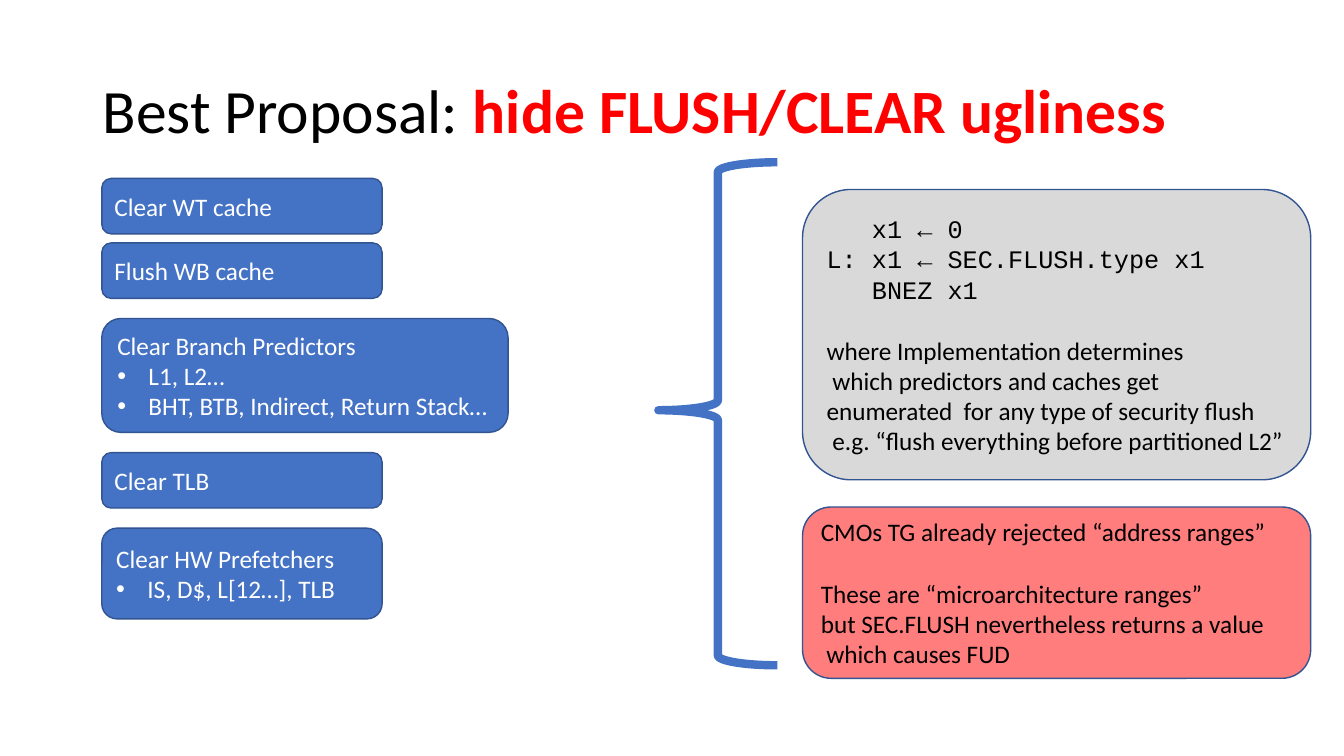
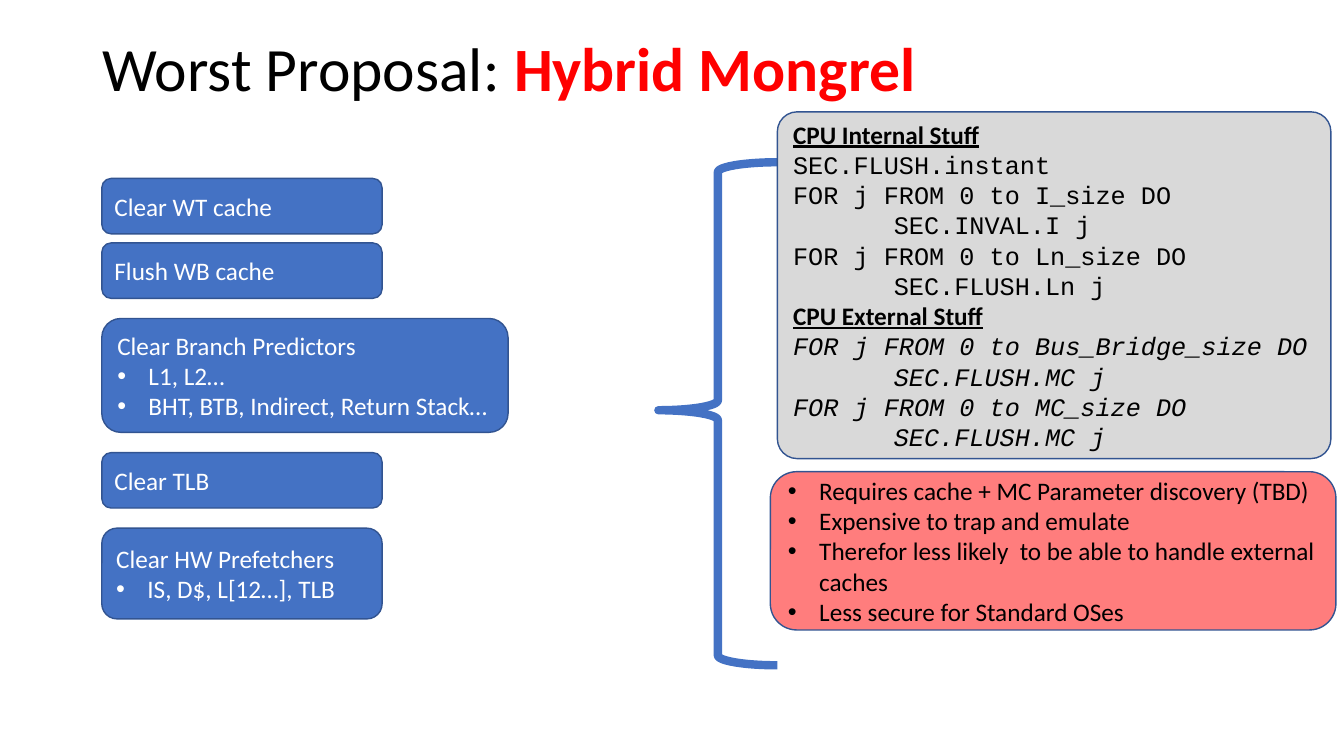
from lxml.etree import SubElement
from pptx import Presentation
from pptx.dml.color import RGBColor
from pptx.enum.shapes import MSO_SHAPE
from pptx.enum.text import MSO_ANCHOR, PP_ALIGN
from pptx.oxml.ns import qn
from pptx.util import Inches, Pt

THEME = {
    "blue": RGBColor(0x44, 0x72, 0xC4),
    "edge": RGBColor(0x32, 0x54, 0x91),
    "gray": RGBColor(0xD9, 0xD9, 0xD9),
    "rose": RGBColor(0xFF, 0x7D, 0x7D),
    "red": RGBColor(0xFF, 0x00, 0x00),
    "black": RGBColor(0x00, 0x00, 0x00),
    "white": RGBColor(0xFF, 0xFF, 0xFF),
    "sans": "Calibri",
    "mono": "Courier New",
    "title": Pt(44),
    "body": Pt(18),
    "thin": Pt(1),
    "thick": Pt(6),
}

BODY = {"name": THEME["sans"], "size": THEME["body"]}
CODE = {**BODY, "name": THEME["mono"]}
SLANT = {**CODE, "italic": True}
HEAD = {**BODY, "bold": True, "underline": True}
TITLE = {**BODY, "size": THEME["title"]}

STYLES = {
    "text": {"font": BODY},
    "apart": {"font": BODY, "before": 22},
    "bullet": {"font": BODY, "left": 0.31, "hang": -0.31, "mark": "•"},
    "code": {"font": CODE},
    "inset": {"font": CODE, "left": 0.45},
    "step": {"font": CODE, "left": 1},
    "slant": {"font": SLANT},
    "substep": {"font": SLANT, "left": 1},
    "head": {"font": HEAD},
}

STACK = {"left": 1.01, "top": 1.77}
TASKS = [
    (2.78, 0.55, 0.09, [("text", "Clear WT cache")]),
    (2.78, 0.55, 0.2, [("text", "Flush WB cache")]),
    (4.03, 1.13, 0.2, [
        ("text", "Clear Branch Predictors"),
        ("bullet", "L1, L2…"),
        ("bullet", "BHT, BTB, Indirect, Return Stack…"),
    ]),
    (2.78, 0.55, 0.2, [("text", "Clear TLB")]),
    (2.78, 0.9, 0, [
        ("text", "Clear HW Prefetchers"),
        ("bullet", "IS, D$, L[12…], TLB"),
    ]),
]
BRACE = {"at": (6.53, 1.61, 1.18, 4.99), "bend": (0.083, 0.493)}

SLIDES = [
    {
        "title": ("Best Proposal: ", "hide FLUSH/CLEAR ugliness"),
        "at": (0.92, 0.4, 11.5, 1.45),
        "cards": [
            ("gray", (7.96, 1.88, 5.04, 2.88), 0.167, [
                ("inset", "x1 ← 0"),
                ("code", "L: x1 ← SEC.FLUSH.type x1"),
                ("inset", "BNEZ x1"),
                ("apart", "where Implementation determines"),
                ("text", " which predictors and caches get enumerated  for any type of security flush"),
                ("text", " e.g. “flush everything before partitioned L2”"),
            ]),
            ("rose", (7.96, 5.03, 5.04, 1.7), 0.167, [
                ("text", "CMOs TG already rejected “address ranges”"),
                ("apart", "These are “microarchitecture ranges”"),
                ("text", "but SEC.FLUSH nevertheless returns a value"),
                ("text", " which causes FUD"),
            ]),
        ],
    },
    {
        "title": ("Worst Proposal: ", "Hybrid Mongrel"),
        "at": (0.92, 0.15, 11.5, 1.11),
        "cards": [
            ("gray", (7.71, 1.11, 5.49, 3.44), 0.057, [
                ("head", "CPU Internal Stuff"),
                ("code", "SEC.FLUSH.instant"),
                ("code", "FOR j FROM 0 to I_size DO"),
                ("step", "SEC.INVAL.I j"),
                ("code", "FOR j FROM 0 to Ln_size DO"),
                ("step", "SEC.FLUSH.Ln j"),
                ("head", "CPU External Stuff"),
                ("slant", "FOR j FROM 0 to Bus_Bridge_size DO"),
                ("substep", "SEC.FLUSH.MC j"),
                ("slant", "FOR j FROM 0 to MC_size DO"),
                ("substep", "SEC.FLUSH.MC j"),
            ]),
            ("rose", (7.64, 4.68, 5.61, 1.57), 0.167, [
                ("bullet", "Requires cache + MC Parameter discovery (TBD)"),
                ("bullet", "Expensive to trap and emulate"),
                ("bullet", "Therefor less likely  to be able to handle external caches"),
                ("bullet", "Less secure for Standard OSes"),
            ]),
        ],
    },
]


def apply(item, values):
    for key, value in values.items():
        setattr(item, key, value)


def add_run(para, text, font, ink):
    run = para.add_run()
    run.text = text
    apply(run.font, font)
    run.font.color.rgb = THEME[ink]


def add_para(para, kind, text, ink):
    style = STYLES[kind]
    apply(para, {"alignment": PP_ALIGN.LEFT, "space_before": Pt(style.get("before", 0))})
    props = para._p.get_or_add_pPr()
    props.set("marL", str(Inches(style.get("left", 0))))
    props.set("indent", str(Inches(style.get("hang", 0))))
    if "mark" in style:
        SubElement(props, qn("a:buFont")).set("typeface", "Arial")
        SubElement(props, qn("a:buChar")).set("char", style["mark"])
    add_run(para, text, style["font"], ink)


def add_shape(slide, kind, at, bends, edge, width):
    shape = slide.shapes.add_shape(kind, *map(Inches, at))
    shape.shadow.inherit = False
    for spot, bend in enumerate(bends):
        shape.adjustments[spot] = bend
    shape.line.color.rgb = THEME[edge]
    shape.line.width = THEME[width]
    return shape


def add_card(slide, fill, at, bend, paras, ink="black"):
    card = add_shape(slide, MSO_SHAPE.ROUNDED_RECTANGLE, at, [bend], "edge", "thin")
    card.fill.solid()
    card.fill.fore_color.rgb = THEME[fill]
    frame = card.text_frame
    apply(frame, {"word_wrap": True, "vertical_anchor": MSO_ANCHOR.MIDDLE})
    for spot, (kind, text) in enumerate(paras):
        para = frame.add_paragraph() if spot else frame.paragraphs[0]
        add_para(para, kind, text, ink)


def add_title(slide, at, lead, point):
    frame = slide.shapes.add_textbox(*map(Inches, at)).text_frame
    apply(frame, {"word_wrap": True, "vertical_anchor": MSO_ANCHOR.MIDDLE})
    para = frame.paragraphs[0]
    para.line_spacing = 0.9
    add_run(para, lead, TITLE, "black")
    add_run(para, point, {**TITLE, "bold": True}, "red")


def add_tasks(slide):
    top = STACK["top"]
    for width, height, gap, paras in TASKS:
        add_card(slide, "blue", (STACK["left"], top, width, height), 0.167, paras, "white")
        top += height + gap


def main():
    deck = Presentation()
    apply(deck, {"slide_width": Inches(13.33), "slide_height": Inches(7.5)})
    for page in SLIDES:
        slide = deck.slides.add_slide(deck.slide_layouts[6])
        add_title(slide, page["at"], *page["title"])
        add_tasks(slide)
        brace = add_shape(slide, MSO_SHAPE.LEFT_BRACE, BRACE["at"], BRACE["bend"], "blue", "thick")
        brace.fill.background()
        for card in page["cards"]:
            add_card(slide, *card)
    deck.save("out.pptx")


if __name__ == "__main__":
    main()
